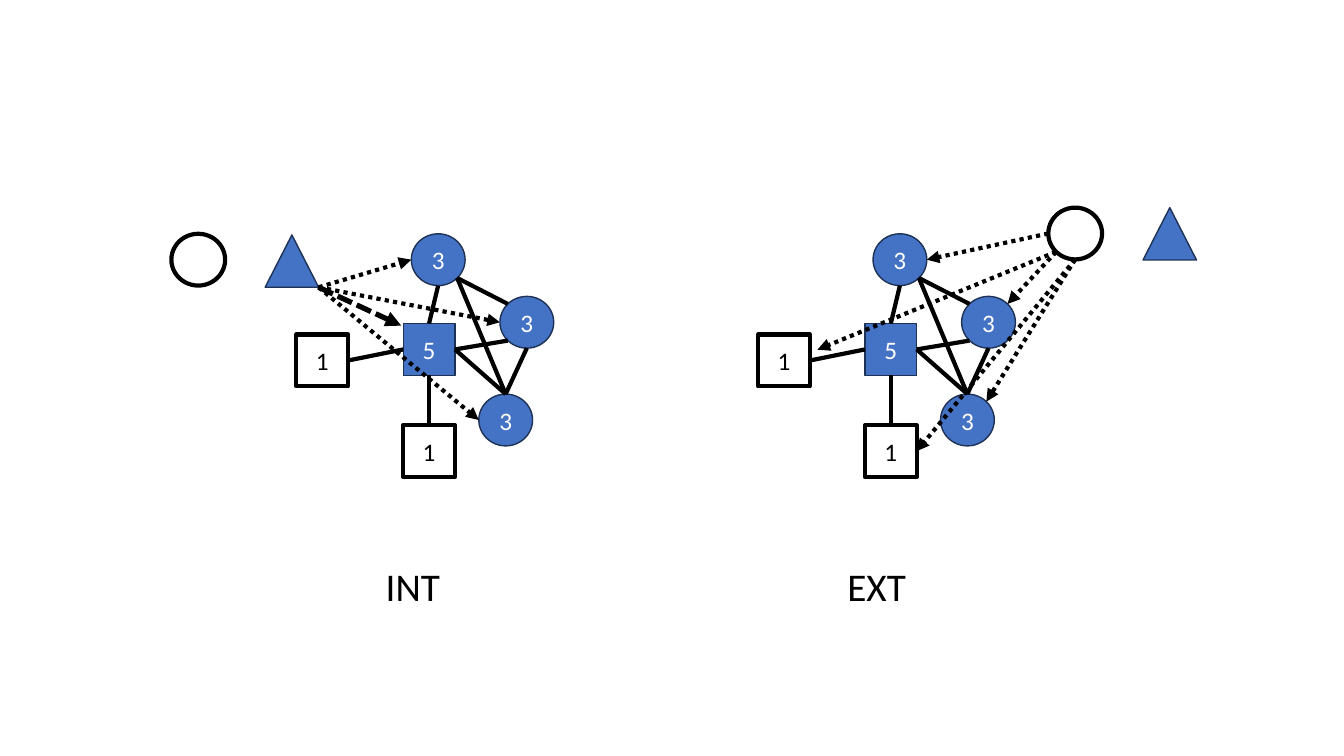
from dataclasses import dataclass
from math import cos, radians, sin

from lxml.etree import SubElement
from pptx import Presentation
from pptx.dml.color import RGBColor
from pptx.enum.dml import MSO_LINE
from pptx.enum.shapes import MSO_CONNECTOR, MSO_SHAPE
from pptx.enum.text import MSO_ANCHOR, PP_ALIGN
from pptx.oxml.ns import qn
from pptx.util import Pt

TOP, LEFT, BOTTOM, RIGHT = range(4)
EAST, SOUTH_EAST, SOUTH, SOUTH_WEST, WEST, NORTH_WEST, NORTH, NORTH_EAST = range(0, 360, 45)


@dataclass(frozen=True)
class Theme:
    font: str = "Calibri"
    blue: RGBColor = RGBColor(0x44, 0x72, 0xC4)
    navy: RGBColor = RGBColor(0x1E, 0x32, 0x56)
    black: RGBColor = RGBColor(0, 0, 0)
    white: RGBColor = RGBColor(255, 255, 255)
    node_size: int = 18
    label_size: int = 28
    thin: float = 1
    thick: float = 3
    heavy: float = 3.75


@dataclass
class Anchor:
    """A line's end; box and side are set where it joins a rectangle."""
    x: float
    y: float
    box: object = None
    side: int = 0


def rim(circle, angle):
    """Point on a circle's edge, in degrees clockwise from east."""
    half_width, half_height = circle.width.pt / 2, circle.height.pt / 2
    return Anchor(circle.left.pt + half_width * (1 + cos(radians(angle))),
                  circle.top.pt + half_height * (1 + sin(radians(angle))))


def middle(box, side):
    """Middle of one side of a rectangle."""
    across, down = {TOP: (0.5, 0), LEFT: (0, 0.5), BOTTOM: (0.5, 1), RIGHT: (1, 0.5)}[side]
    return Anchor(box.left.pt + across * box.width.pt,
                  box.top.pt + down * box.height.pt, box, side)


class Diagram:
    def __init__(self, slide, theme):
        self.slide = slide
        self.theme = theme
        self.shapes = slide.shapes

    def add_run(self, paragraph, words, size, colour):
        run = paragraph.add_run()
        run.text = words
        run.font.name = self.theme.font
        run.font.size = Pt(size)
        run.font.color.rgb = colour

    def node(self, kind, x, y, width, height, digit="", filled=True):
        theme = self.theme
        shape = self.shapes.add_shape(kind, Pt(x), Pt(y), Pt(width), Pt(height))
        shape.shadow.inherit = False
        shape.fill.solid()
        shape.fill.fore_color.rgb = theme.blue if filled else theme.white
        shape.line.color.rgb = theme.navy if filled else theme.black
        shape.line.width = Pt(theme.thin if filled else theme.thick)
        if digit:
            shape.text_frame.vertical_anchor = MSO_ANCHOR.MIDDLE
            paragraph = shape.text_frame.paragraphs[0]
            paragraph.alignment = PP_ALIGN.CENTER
            self.add_run(paragraph, digit, theme.node_size,
                         theme.white if filled else theme.black)
        return shape

    def circle(self, x, y, digit="", filled=True):
        return self.node(MSO_SHAPE.OVAL, x, y, 38.4, 37, digit, filled)

    def square(self, x, y, digit, filled=False):
        return self.node(MSO_SHAPE.RECTANGLE, x, y, 37, 37, digit, filled)

    def triangle(self, x, y):
        return self.node(MSO_SHAPE.ISOSCELES_TRIANGLE, x, y, 38.2, 37.4)

    def line(self, start, end, width=None):
        link = self.shapes.add_connector(MSO_CONNECTOR.STRAIGHT, Pt(start.x), Pt(start.y),
                                         Pt(end.x), Pt(end.y))
        if start.box is not None:
            link.begin_connect(start.box, start.side)
        if end.box is not None:
            link.end_connect(end.box, end.side)
        link.line.color.rgb = self.theme.black
        link.line.width = Pt(width or self.theme.thick)
        SubElement(link._element.spPr, qn("a:effectLst"))
        return link

    def arrow(self, start, end, dash=MSO_LINE.ROUND_DOT, width=None):
        link = self.line(start, end, width)
        link.line.dash_style = dash
        SubElement(link.line._get_or_add_ln(), qn("a:tailEnd"), type="triangle")

    def label(self, x, y, words):
        frame = self.shapes.add_textbox(Pt(x), Pt(y), Pt(73.4), Pt(41.2)).text_frame
        frame.word_wrap = True
        self.add_run(frame.paragraphs[0], words, self.theme.label_size, self.theme.black)

    def network(self, shift, caption):
        """Grouped hub with its neighbours and caption; returns the nodes by place."""
        self.shapes = self.slide.shapes.add_group_shape().shapes
        upper = self.circle(293.8 + shift, 167, "3")
        hub = self.square(288 + shift, 231.1, "5", filled=True)
        lower = self.circle(342 + shift, 281.5, "3")
        right = self.circle(357.1 + shift, 211.7, "3")
        left_leaf = self.square(211.7 + shift, 239, "1")
        lower_leaf = self.square(288 + shift, 303.8, "1")
        for start, end in (
            (rim(upper, SOUTH), middle(hub, TOP)),
            (rim(right, SOUTH_WEST), middle(hub, RIGHT)),
            (rim(lower, NORTH), middle(hub, RIGHT)),
            (middle(lower_leaf, TOP), middle(hub, BOTTOM)),
            (middle(left_leaf, RIGHT), middle(hub, LEFT)),
            (rim(upper, SOUTH_EAST), rim(lower, NORTH)),
            (rim(right, SOUTH), rim(lower, NORTH)),
            (rim(upper, SOUTH_EAST), rim(right, NORTH_WEST)),
        ):
            self.line(start, end)
        self.shapes = self.slide.shapes
        self.label(268.4 + shift, 398.2, caption)
        return upper, right, lower, lower_leaf


def main():
    deck = Presentation()
    deck.slide_width, deck.slide_height = Pt(960), Pt(540)
    blank_layout = deck.slide_layouts[6]
    diagram = Diagram(deck.slides.add_slide(blank_layout), Theme())

    diagram.circle(122.4, 167, filled=False)
    diagram.triangle(189.4, 167.8)
    upper, right, lower, _ = diagram.network(0, "INT")
    triangle_corner = Anchor(227.6, 205.2)
    diagram.arrow(triangle_corner, Anchor(286.6, 232.6), MSO_LINE.SQUARE_DOT,
                  diagram.theme.heavy)
    for target in (lower, upper, right):
        diagram.arrow(triangle_corner, rim(target, WEST))

    upper, right, lower, lower_leaf = diagram.network(329.8, "EXT")
    diagram.triangle(823 - 6.5, 148.3)
    outsider = diagram.circle(748.8, 148.3, filled=False)
    for direction, target in (
        (WEST, rim(upper, EAST)),
        (SOUTH_WEST, rim(right, NORTH_EAST)),
        (SOUTH, rim(lower, NORTH_EAST)),
        (SOUTH_WEST, Anchor(583.9, 249.8)),
        (SOUTH, middle(lower_leaf, RIGHT)),
    ):
        diagram.arrow(rim(outsider, direction), target)

    deck.save("out.pptx")


if __name__ == "__main__":
    main()
